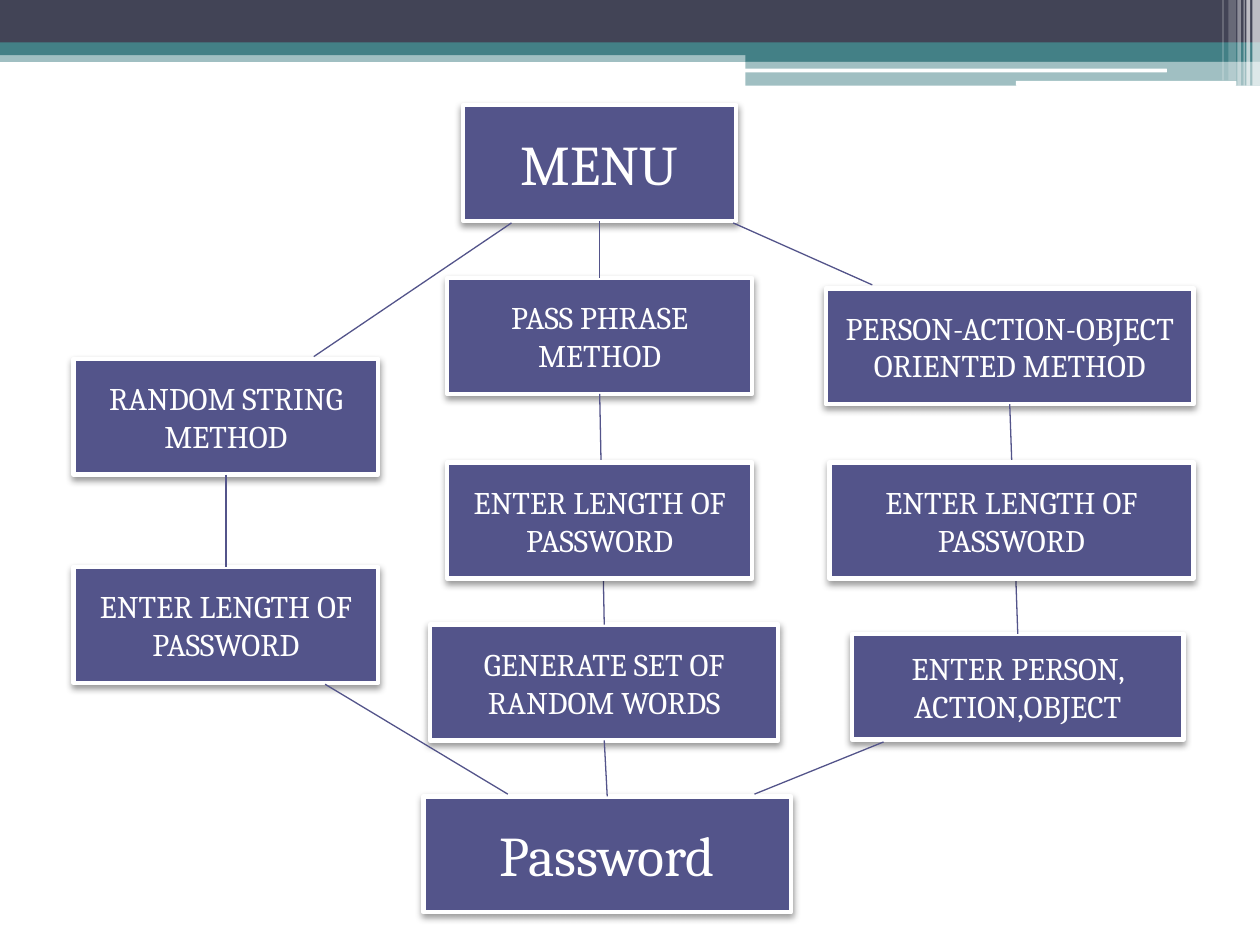
from dataclasses import dataclass
from typing import Optional

from lxml.etree import SubElement
from pptx import Presentation
from pptx.dml.color import RGBColor
from pptx.enum.shapes import MSO_CONNECTOR, MSO_SHAPE
from pptx.enum.text import MSO_ANCHOR, PP_ALIGN
from pptx.oxml.ns import qn
from pptx.util import Pt


@dataclass(frozen=True)
class Theme:
    ink: str = "424456"
    teal: str = "438086"
    white: str = "FFFFFF"
    indigo: str = "53548A"
    black: str = "000000"
    font: str = "Cambria"
    large: float = 32
    small: float = 18
    border: float = 2.5
    wire: float = 0.75
    inset: float = 3.6


@dataclass(frozen=True)
class Bar:
    left: float
    top: float
    width: float
    height: float
    color: str
    alpha: int = 100
    kind: MSO_SHAPE = MSO_SHAPE.RECTANGLE


@dataclass(frozen=True)
class Box:
    key: str
    text: str
    left: float
    top: float
    width: float = 174.2
    height: float = 66.2
    size: float = Theme.small


@dataclass(frozen=True)
class Wire:
    start: str
    end: str
    ends: Optional[tuple[float, float, float, float]] = None


THEME = Theme()
ROUND = MSO_SHAPE.ROUNDED_RECTANGLE
BOTTOM, TOP = 2, 0

BARS = [
    Bar(0, 28.8, 720, 6.6, THEME.teal, 50),
    Bar(0, 0, 720, 24.5, THEME.ink),
    Bar(0, 24.2, 720, 7.3, THEME.teal),
    Bar(426, 28.1, 294, 7.2, THEME.teal),
    Bar(426, 35, 294, 14, THEME.teal, 50),
    Bar(425.6, 39.2, 241.2, 2.2, THEME.white, kind=ROUND),
    Bar(580.5, 46.2, 126, 2.8, THEME.white, kind=ROUND),
]
STRIPES = [
    Bar(left, 0, width, height, THEME.white, alpha)
    for left, width, height, alpha in [
        (715.6, 4.4, 49, 65),
        (712.2, 2.2, 49, 65),
        (710.6, 0.7, 49, 60),
        (707.1, 2, 49, 40),
        (702, 4.3, 46, 20),
        (698.5, 0.7, 46, 30),
    ]
]

LENGTH = "ENTER LENGTH OF PASSWORD"
BACK = [
    Box("menu", "MENU", 264.6, 60, 156.2, size=THEME.large),
    Box("random", "RANDOM STRING METHOD", 42, 205),
    Box("phrase", "PASS PHRASE METHOD", 255.6, 158.9),
    Box("person", "PERSON-ACTION-OBJECT ORIENTED METHOD", 471.9, 164.8, 210.2),
    Box("password", "Password", 241.9, 455.1, 210.2, size=THEME.large),
    Box("length", LENGTH, 42, 324),
    Box("words", "GENERATE SET OF RANDOM WORDS", 245.8, 356.9, 199),
    Box("object", "ENTER PERSON, ACTION,OBJECT", 486.9, 362.2, 189.4, 60.4),
]
FRONT = [
    Box("phrase length", LENGTH, 255.6, 264.4),
    Box("person length", LENGTH, 473.9, 264.4, 208.1),
]
WIRES = [
    Wire("menu", "random", (292.3, 127.4, 179.3, 203.8)),
    Wire("menu", "phrase"),
    Wire("menu", "person", (419, 127.4, 498.5, 162.8)),
    Wire("random", "length"),
    Wire("phrase", "words"),
    Wire("person", "object"),
    Wire("length", "password", (185.8, 391, 290.2, 453.8)),
    Wire("words", "password"),
    Wire("object", "password", (504.9, 424, 431.1, 453.8)),
]


def paint(shape, color: str, alpha: int = 100) -> None:
    shape.shadow.inherit = False
    shape.fill.solid()
    shape.fill.fore_color.rgb = RGBColor.from_string(color)
    if alpha < 100:
        tone = shape._element.spPr.find(f"{qn('a:solidFill')}/{qn('a:srgbClr')}")
        SubElement(tone, qn("a:alpha"), val=str(alpha * 1000))


def outline(shape, color: str, width: float) -> None:
    shape.line.color.rgb = RGBColor.from_string(color)
    shape.line.width = Pt(width)


def shade(shape) -> None:
    effects = shape._element.spPr.find(qn("a:effectLst"))
    shadow = SubElement(
        effects, qn("a:outerShdw"), blurRad=str(Pt(4)), dist=str(Pt(2)),
        dir="5400000", rotWithShape="0",
    )
    tone = SubElement(shadow, qn("a:srgbClr"), val=THEME.black)
    SubElement(tone, qn("a:alpha"), val="40000")


def write(shape, text: str, *, size: float, color: str = THEME.white,
          font: str = THEME.font, align: PP_ALIGN = PP_ALIGN.CENTER) -> None:
    frame = shape.text_frame
    frame.word_wrap = True
    frame.vertical_anchor = MSO_ANCHOR.MIDDLE
    frame.margin_left = frame.margin_right = Pt(THEME.inset)
    frame.margin_top = frame.margin_bottom = Pt(THEME.inset)
    line = frame.paragraphs[0]
    line.alignment = align
    run = line.add_run()
    run.text = text
    run.font.size = Pt(size)
    run.font.name = font
    run.font.color.rgb = RGBColor.from_string(color)


def place(slide, kind: MSO_SHAPE, item):
    return slide.shapes.add_shape(
        kind, Pt(item.left), Pt(item.top), Pt(item.width), Pt(item.height)
    )


def draw_bar(slide, bar: Bar) -> None:
    shape = place(slide, bar.kind, bar)
    paint(shape, bar.color, bar.alpha)
    shape.line.fill.background()


def draw_box(slide, box: Box):
    shape = place(slide, MSO_SHAPE.RECTANGLE, box)
    paint(shape, THEME.indigo)
    outline(shape, THEME.white, THEME.border)
    shade(shape)
    write(shape, box.text, size=box.size)
    return shape


def draw_wire(slide, wire: Wire, nodes: dict) -> None:
    ends = [Pt(value) for value in wire.ends or (0, 0, 0, 0)]
    line = slide.shapes.add_connector(MSO_CONNECTOR.STRAIGHT, *ends)
    if wire.ends is None:
        line.begin_connect(nodes[wire.start], BOTTOM)
        line.end_connect(nodes[wire.end], TOP)
    outline(line, THEME.indigo, THEME.wire)
    SubElement(line._element.spPr, qn("a:effectLst"))


def main() -> None:
    deck = Presentation()
    deck.slide_width, deck.slide_height = Pt(720), Pt(540)
    slide = deck.slides.add_slide(deck.slide_layouts[6])
    for bar in BARS + STRIPES:
        draw_bar(slide, bar)
    nodes = {box.key: draw_box(slide, box) for box in BACK}
    for wire in WIRES:
        draw_wire(slide, wire, nodes)
    for box in FRONT:
        draw_box(slide, box)
    deck.save("out.pptx")


if __name__ == "__main__":
    main()
